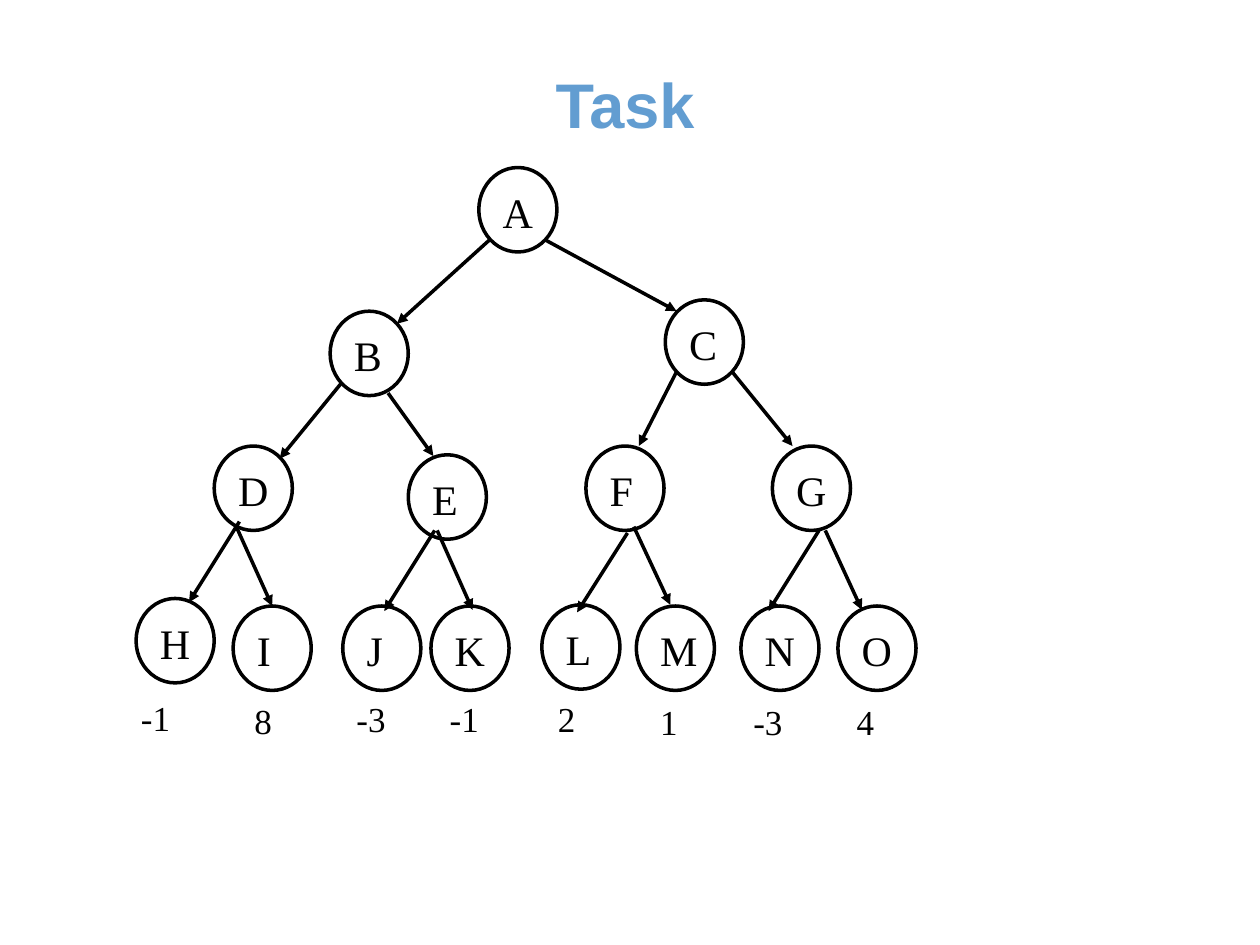
"""Builds a slide with a game tree of nodes A to O and the values of its leaves."""
from lxml.etree import SubElement
from pptx import Presentation
from pptx.dml.color import RGBColor
from pptx.enum.shapes import MSO_CONNECTOR, MSO_SHAPE
from pptx.enum.text import MSO_ANCHOR, PP_ALIGN
from pptx.oxml.ns import qn
from pptx.util import Inches, Pt

COLORS = {"ink": "000000", "title": "629DD1"}
COLUMNS, ROWS = 100, 75

deck = Presentation()
deck.slide_width, deck.slide_height = Inches(10), Inches(7.5)
column, row = deck.slide_width / COLUMNS, deck.slide_height / ROWS
slide = deck.slides.add_slide(deck.slide_layouts[6])


def place(*cells):
    """Turn alternating columns and rows into lengths."""
    return [round(cell * (row if i % 2 else column)) for i, cell in enumerate(cells)]


def write(frame, words, size, font="Times New Roman", color="ink"):
    """Write one run into the first paragraph and return the paragraph."""
    paragraph = frame.paragraphs[0]
    run = paragraph.add_run()
    run.text = words
    run.font.size, run.font.name = Pt(size), font
    run.font.color.rgb = RGBColor.from_string(COLORS[color])
    return paragraph


heading = slide.shapes.add_textbox(*place(4.2, 2.5, 90.8, 9.2)).text_frame
heading.word_wrap = True
heading.vertical_anchor = MSO_ANCHOR.BOTTOM
task = write(heading, "Task", 36, "Arial", "title")
task.alignment = PP_ALIGN.CENTER
task.runs[0].font.bold = True

nodes = {
    "A": (38, 13.3), "B": (26.2, 24.7), "C": (52.8, 23.8),
    "D": (17, 35.4), "E": (32.4, 36.1), "F": (46.5, 35.4), "G": (61.3, 35.4),
    "H": (10.8, 47.5), "I": (18.5, 48.1), "J": (27.2, 48.1), "K": (34.2, 48.1),
    "L": (43, 48), "M": (50.5, 48.1), "N": (58.8, 48.1), "O": (66.5, 48.1),
}
for letter, corner in nodes.items():
    node = slide.shapes.add_shape(MSO_SHAPE.OVAL, *place(*corner, 6.2, 6.7))
    node.shadow.inherit = False
    node.fill.background()
    node.line.color.rgb = RGBColor.from_string(COLORS["ink"])
    node.line.width = Pt(2)
    node.text_frame.vertical_anchor = MSO_ANCHOR.TOP
    label = write(node.text_frame, letter, 24)
    label.alignment = PP_ALIGN.LEFT
    label.space_before = Pt(3)

branches = [
    (38.9, 19, 31.5, 25.7), (43.2, 19, 53.7, 24.7),
    (27.1, 30.4, 22.2, 36.4), (30.8, 31.2, 34.4, 36.2),
    (53.7, 29.5, 50.7, 35.4), (58.1, 29.5, 62.9, 35.4),
    (19, 41.4, 15, 47.8), (18.8, 41.9, 21.6, 48.1),
    (34.5, 42.1, 30.5, 48.5), (34.7, 42.1, 37.5, 48.4),
    (49.8, 42.3, 45.8, 48.6), (50.3, 41.8, 53.2, 48),
    (65, 42.1, 61, 48.5), (65.5, 42.1, 68.4, 48.4),
]
for ends in branches:
    branch = slide.shapes.add_connector(MSO_CONNECTOR.STRAIGHT, *place(*ends))
    branch.line.color.rgb = RGBColor.from_string(COLORS["ink"])
    branch.line.width = Pt(2)
    SubElement(branch.line._get_or_add_ln(), qn("a:tailEnd"), type="triangle")
    SubElement(branch._element.spPr, qn("a:effectLst"))

leaf_values = [
    ("-1", 10.2, 54.8), ("8", 19.2, 55), ("-3", 27.3, 54.9), ("-1", 34.7, 54.9),
    ("2", 43.3, 54.9), ("1", 51.4, 55.1), ("-3", 58.8, 55.1), ("4", 67, 55.1),
]
for value, left, top in leaf_values:
    leaf = slide.shapes.add_textbox(*place(left, top, 4.8, 4.4)).text_frame
    leaf.word_wrap = True
    write(leaf, value, 20).space_before = Pt(2)

deck.save("out.pptx")
